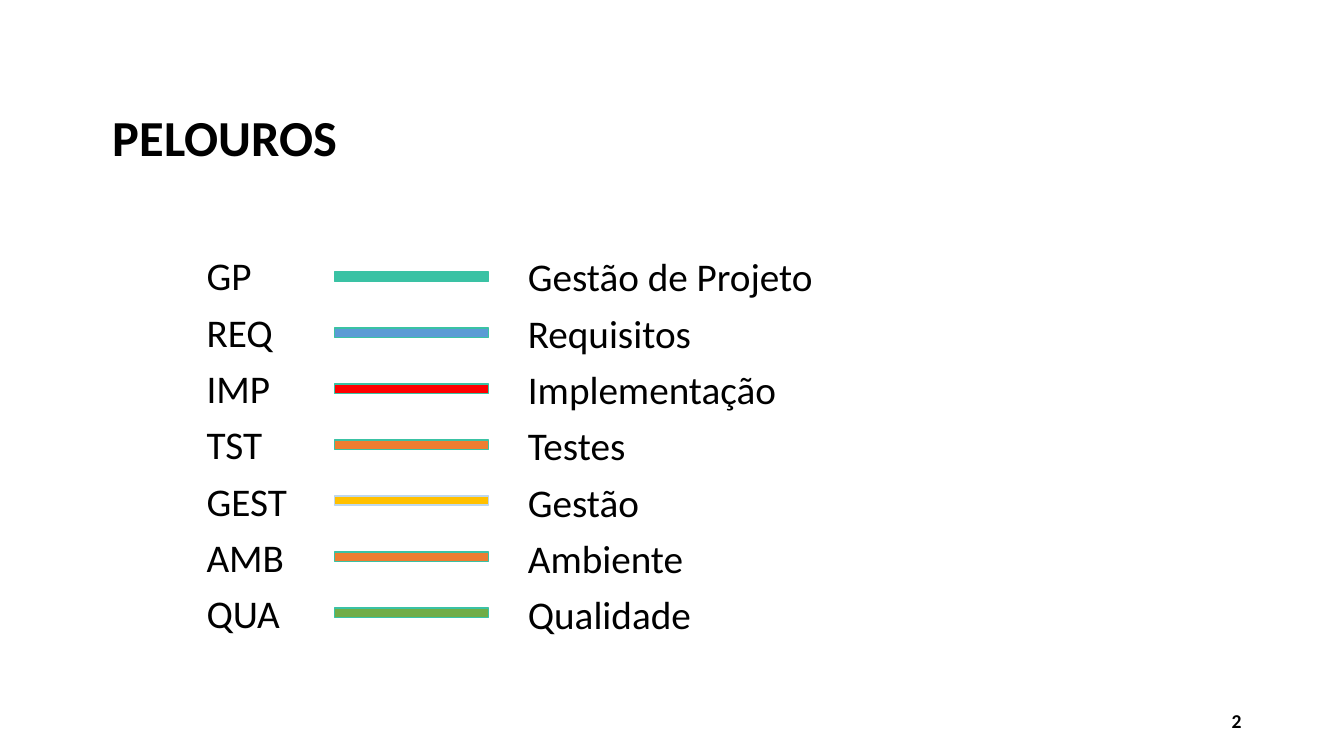
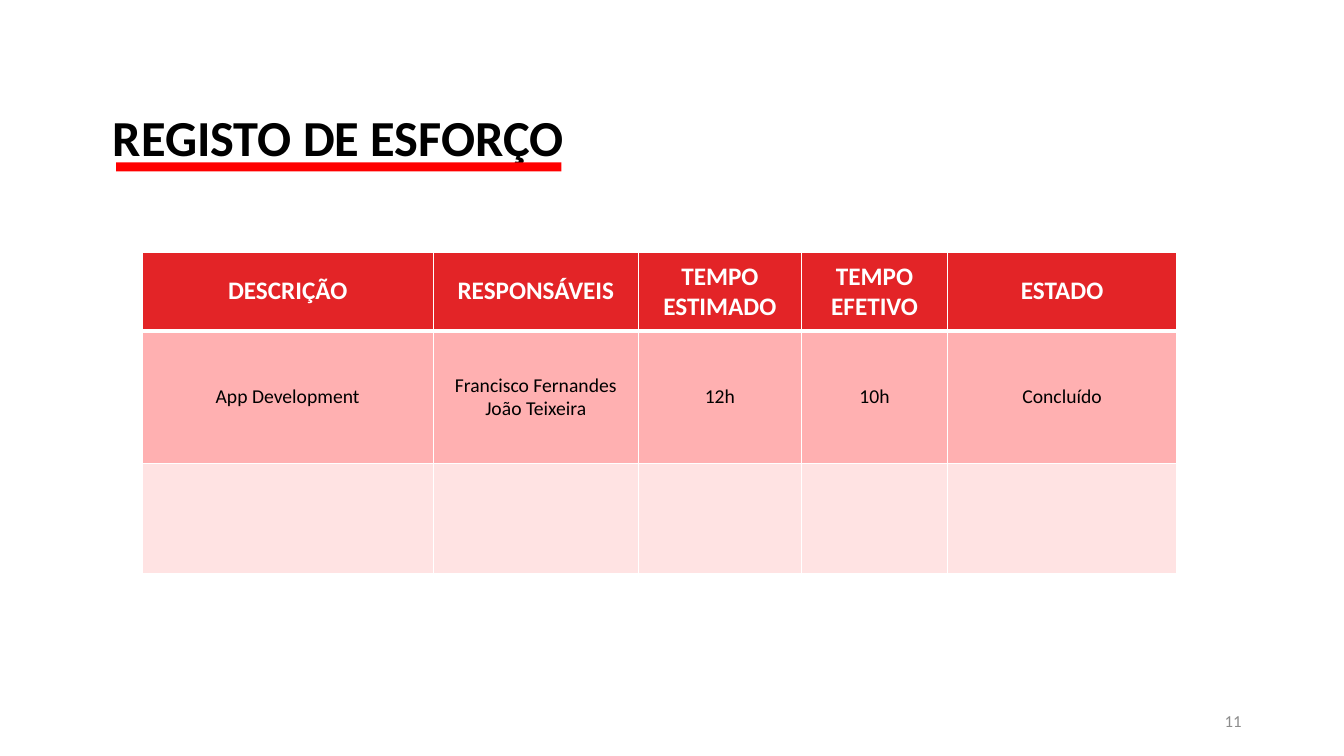
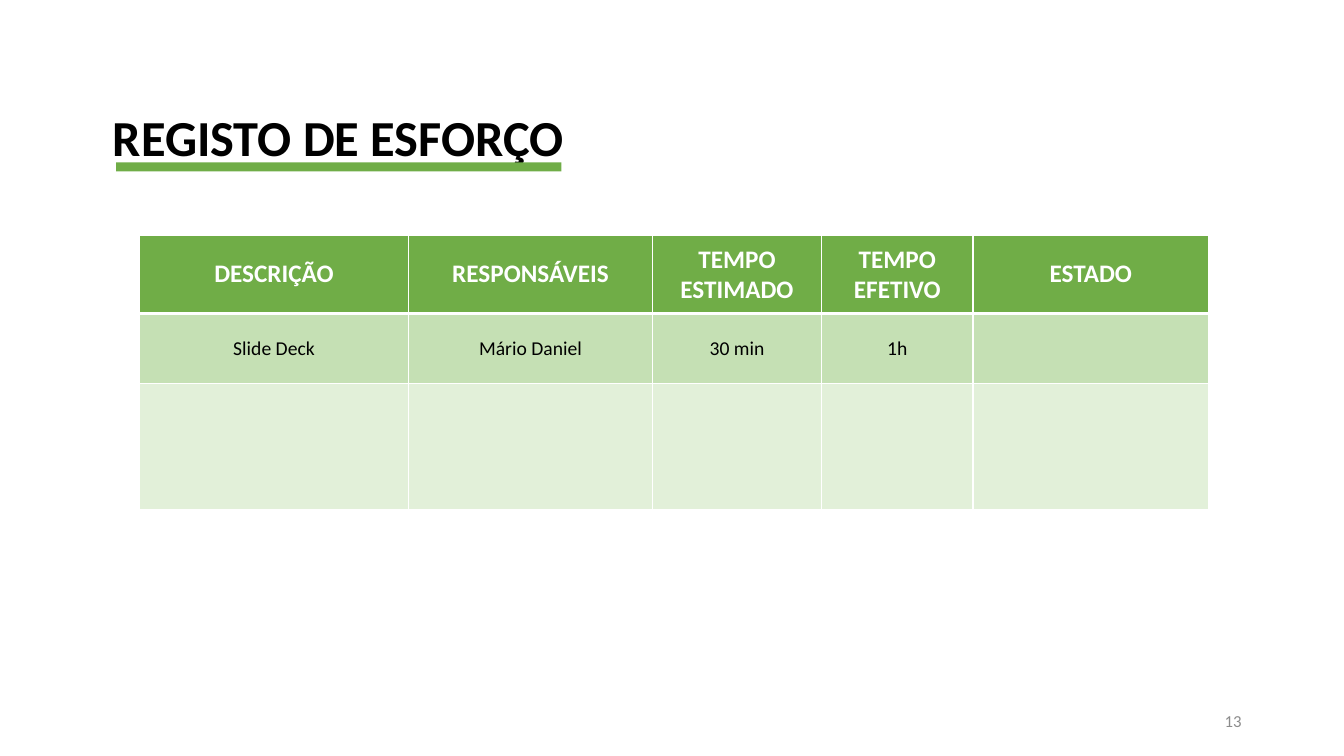
from lxml import etree
from pptx import Presentation
from pptx.dml.color import RGBColor
from pptx.enum.shapes import MSO_SHAPE
from pptx.enum.text import MSO_ANCHOR, MSO_AUTO_SIZE, PP_ALIGN
from pptx.oxml.ns import qn
from pptx.util import Pt

RECTANGLE = MSO_SHAPE.RECTANGLE
TOP, MIDDLE = MSO_ANCHOR.TOP, MSO_ANCHOR.MIDDLE
LEFT, CENTER, RIGHT = PP_ALIGN.LEFT, PP_ALIGN.CENTER, PP_ALIGN.RIGHT
NO_AUTOFIT = MSO_AUTO_SIZE.NONE

BLACK = RGBColor(0x00, 0x00, 0x00)
WHITE = RGBColor(0xFF, 0xFF, 0xFF)
GREY = RGBColor(0x8C, 0x8C, 0x8C)
TEAL = RGBColor(0x3A, 0xC2, 0xA4)
BLUE = RGBColor(0x5B, 0x9B, 0xD5)
PALE_BLUE = RGBColor(0xBD, 0xD7, 0xEE)
RED = RGBColor(0xFF, 0x00, 0x00)
ORANGE = RGBColor(0xED, 0x7D, 0x31)
YELLOW = RGBColor(0xFF, 0xC0, 0x00)
GREEN = RGBColor(0x70, 0xAD, 0x47)
HEADER_RED = RGBColor(0xE3, 0x24, 0x27)
MID_RED = RGBColor(0xFF, 0xB0, 0xB1)
PALE_RED = RGBColor(0xFF, 0xE3, 0xE3)
MID_GREEN = RGBColor(0xC5, 0xE0, 0xB4)
PALE_GREEN = RGBColor(0xE2, 0xF0, 0xD9)

TITLE_FONT = {"name": "Calibri", "size": Pt(36), "bold": True}
LIST_FONT = {"name": "Calibri", "size": Pt(28), "bold": False}
HEADER_FONT = {"name": "Calibri", "size": Pt(18), "bold": True}
CELL_FONT = {"name": "Calibri", "size": Pt(14), "bold": False}
NUMBER_FONT = {"name": "Calibri", "size": Pt(12), "bold": False}
BOLD_NUMBER_FONT = {"name": "Calibri", "size": Pt(14), "bold": True}

# code, name, bar fill, bar outline
AREAS = [
    ("GP", "Gestão de Projeto", TEAL, TEAL),
    ("REQ", "Requisitos", BLUE, TEAL),
    ("IMP", "Implementação", RED, TEAL),
    ("TST", "Testes", ORANGE, TEAL),
    ("GEST", "Gestão", YELLOW, PALE_BLUE),
    ("AMB", "Ambiente", ORANGE, TEAL),
    ("QUA", "Qualidade", GREEN, TEAL),
]

EFFORT_TITLE = "REGISTO DE ESFORÇO"
EFFORT_HEADER = ["DESCRIÇÃO", "RESPONSÁVEIS", "TEMPO ESTIMADO", "TEMPO EFETIVO", "ESTADO"]
EFFORT_LOGS = [
    {
        "number": "11",
        "entry": ["App Development", "Francisco Fernandes\nJoão Teixeira", "12h", "10h", "Concluído"],
        "underline": RED,
        "row_fills": [HEADER_RED, MID_RED, PALE_RED],
        "corner": (101.5, 180),
        "columns": [208, 146.5, 116.5, 104.5, 163.5],
        "rows": [56, 95, 78.5],
    },
    {
        "number": "13",
        "entry": ["Slide Deck", "Mário Daniel", "30 min", "1h", ""],
        "underline": GREEN,
        "row_fills": [GREEN, MID_GREEN, PALE_GREEN],
        "corner": (99.5, 167.8),
        "columns": [192.5, 174, 121, 108, 168.5],
        "rows": [56, 50, 90],
    },
]

BAR_TOP, BAR_STEP = 194.4, 40
BAR_HEIGHT = 6.5


def write(frame, text, font, color, align=LEFT, **paragraph_format):
    frame.text = text
    for paragraph in frame.paragraphs:
        paragraph.alignment = align
        for key, value in paragraph_format.items():
            setattr(paragraph, key, value)
        for key, value in font.items():
            setattr(paragraph.font, key, value)
        paragraph.font.color.rgb = color


def add_text(slide, box, text, font, color, align=LEFT, anchor=TOP, **paragraph_format):
    frame = slide.shapes.add_textbox(*map(Pt, box)).text_frame
    frame.word_wrap = True
    frame.vertical_anchor = anchor
    write(frame, text, font, color, align, **paragraph_format)
    return frame


def add_bar(slide, box, fill, outline=None):
    bar = slide.shapes.add_shape(RECTANGLE, *map(Pt, box))
    bar.shadow.inherit = False
    bar.fill.solid()
    bar.fill.fore_color.rgb = fill
    if outline is None:
        bar.line.fill.background()
    else:
        bar.line.color.rgb = outline
        bar.line.width = Pt(1)


def add_titled_slide(deck, title, number, number_font=NUMBER_FONT, number_color=GREY):
    slide = deck.slides.add_slide(deck.slide_layouts[5])
    heading = slide.shapes.title
    heading.left, heading.top, heading.width, heading.height = map(Pt, (73.5, 72, 485, 51))
    frame = heading.text_frame
    frame.word_wrap = True
    frame.auto_size = NO_AUTOFIT
    frame.vertical_anchor = TOP
    write(frame, title, TITLE_FONT, BLACK)
    add_text(slide, (678, 500.5, 216, 28.75), number, number_font, number_color, RIGHT, MIDDLE)
    return slide


def set_borders(cell, widths):
    """Draw white cell borders; must run before the cell fill is set."""
    properties = cell._tc.get_or_add_tcPr()
    for side, width in widths.items():
        line = etree.SubElement(properties, qn(f"a:ln{side}"), w=str(Pt(width)))
        fill = etree.SubElement(line, qn("a:solidFill"))
        etree.SubElement(fill, qn("a:srgbClr"), val=str(WHITE))


def add_effort_table(slide, log):
    columns, rows = log["columns"], log["rows"]
    box = (*log["corner"], sum(columns), sum(rows))
    table = slide.shapes.add_table(len(rows), len(columns), *map(Pt, box)).table
    table.horz_banding = False
    for column, width in zip(table.columns, columns):
        column.width = Pt(width)
    for row, height in zip(table.rows, rows):
        row.height = Pt(height)

    texts = [EFFORT_HEADER, log["entry"], [""] * len(columns)]
    for r, (row_texts, row_fill) in enumerate(zip(texts, log["row_fills"])):
        font, color = (CELL_FONT, BLACK) if r else (HEADER_FONT, WHITE)
        borders = {"L": 1, "R": 1, "T": 3 if r == 1 else 1, "B": 3 if r == 0 else 1}
        for c, text in enumerate(row_texts):
            cell = table.cell(r, c)
            set_borders(cell, borders)
            cell.fill.solid()
            cell.fill.fore_color.rgb = row_fill
            cell.vertical_anchor = MIDDLE
            cell.margin_left = cell.margin_right = Pt(13)
            cell.margin_top = cell.margin_bottom = Pt(6.5)
            write(cell.text_frame, text, font, color, CENTER)


def build_areas(deck):
    slide = add_titled_slide(deck, "PELOUROS", "2", BOLD_NUMBER_FONT, BLACK)
    codes, names, fills, outlines = zip(*AREAS)
    for left, top, entries in ((140.5, 180, codes), (370, 180.7, names)):
        frame = add_text(slide, (left, top, 456.5, 317), "\n".join(entries), LIST_FONT, BLACK,
                         line_spacing=0.9, space_before=Pt(10))
        frame.paragraphs[0].space_before = Pt(0)
    for i, (fill, outline) in enumerate(zip(fills, outlines)):
        add_bar(slide, (239, BAR_TOP + i * BAR_STEP, 110, BAR_HEIGHT), fill, outline)


def build_effort_log(deck, log):
    slide = add_titled_slide(deck, EFFORT_TITLE, log["number"])
    add_effort_table(slide, log)
    add_bar(slide, (83, 116, 318, BAR_HEIGHT), log["underline"])


def main():
    deck = Presentation()
    deck.slide_width, deck.slide_height = Pt(960), Pt(540)
    build_areas(deck)
    for log in EFFORT_LOGS:
        build_effort_log(deck, log)
    deck.save("out.pptx")


if __name__ == "__main__":
    main()
